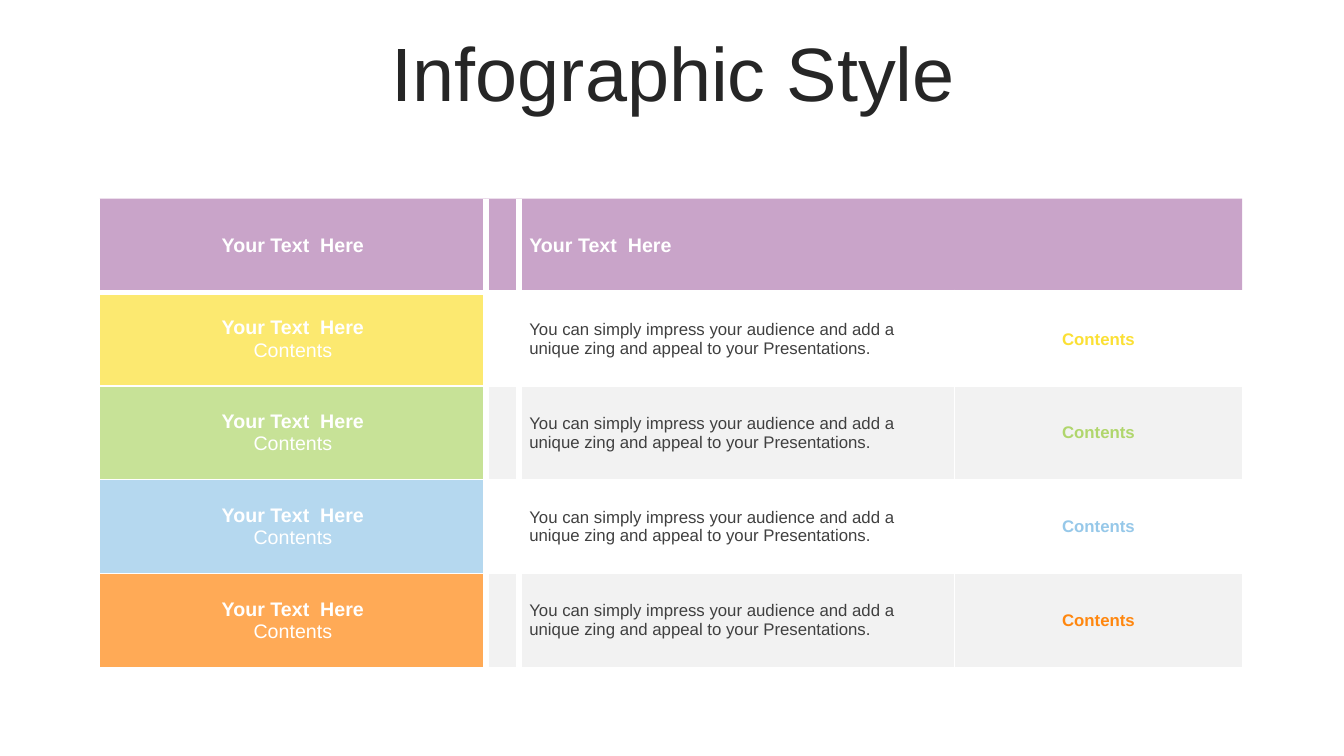
from lxml import etree
from pptx import Presentation, util as u
from pptx.dml.color import RGBColor
from pptx.enum import text
from pptx.oxml import ns

COLORS = {
    "title": "262626", "body": "404040", "white": "FFFFFF", "band": "F2F2F2",
    "purple": "B37EB3", "yellow": "FBE034", "green": "B0D66C",
    "blue": "96C8E9", "orange": "FF870F",
}
PLAIN_TABLE = "{2D5ABB26-0587-4C30-8999-92F81FD0307C}"
THIN, THICK = 1, 4.5
HEADING = "Your Text  Here"
CONTENTS = "Contents"
DESCRIPTION = ("You can simply impress your audience and add a unique zing "
               "and appeal to your Presentations.")
CENTER, LEFT = text.PP_ALIGN.CENTER, text.PP_ALIGN.LEFT
SIDE_BORDERS = [
    {"L": THIN, "R": THICK}, {"L": THICK}, {}, {"R": THIN}, {"L": THIN, "R": THIN},
]


class InfographicSlide:
    def __init__(self, slide, font="Arial"):
        self.slide = slide
        self.font = font

    def add_lines(self, frame, lines, align=CENTER, **paragraph_format):
        for index, (wording, size, color, bold) in enumerate(lines):
            paragraph = frame.paragraphs[0] if index == 0 else frame.add_paragraph()
            for name, value in {"alignment": align, **paragraph_format}.items():
                setattr(paragraph, name, value)
            run = paragraph.add_run()
            run.text = wording
            style = {"name": self.font, "size": u.Pt(size), "bold": bold}
            for name, value in style.items():
                setattr(run.font, name, value)
            run.font.color.rgb = RGBColor.from_string(COLORS[color])

    def title(self, wording, left, top, width, height):
        box = self.slide.shapes.add_textbox(*map(u.Inches, (left, top, width, height)))
        frame = box.text_frame
        frame.word_wrap = True
        frame.vertical_anchor = text.MSO_ANCHOR.MIDDLE
        self.add_lines(frame, [(wording, 54, "title", False)], line_spacing=0.9)

    def table(self, left, top, widths, row_height, row_count):
        frame = self.slide.shapes.add_table(
            row_count, len(widths), u.Inches(left), u.Inches(top),
            u.Inches(sum(widths)), u.Inches(row_height * row_count))
        table = frame.table
        table.first_row = table.horz_banding = False
        table._tbl.tblPr.find(ns.qn("a:tableStyleId")).text = PLAIN_TABLE
        for column, width in zip(table.columns, widths):
            column.width = u.Inches(width)
        for row in table.rows:
            row.height = u.Inches(row_height)
        return table

    def cell(self, cell, fill, borders, opacity=100):
        cell.vertical_anchor = text.MSO_ANCHOR.MIDDLE
        properties = cell._tc.get_or_add_tcPr()
        for side in "LRTB":
            if side in borders:
                line = etree.SubElement(properties, ns.qn(f"a:ln{side}"),
                                        w=str(u.Pt(borders[side])))
                solid = etree.SubElement(line, ns.qn("a:solidFill"))
                etree.SubElement(solid, ns.qn("a:srgbClr"), val=COLORS["white"])
        cell.fill.solid()
        cell.fill.fore_color.rgb = RGBColor.from_string(COLORS[fill])
        if opacity < 100:
            color = properties.find(f"{ns.qn('a:solidFill')}/{ns.qn('a:srgbClr')}")
            etree.SubElement(color, ns.qn("a:alpha"), val=str(opacity * 1000))

    def header_row(self, table):
        for column, sides in enumerate(SIDE_BORDERS):
            self.cell(table.cell(0, column), "purple", {**sides, "B": THICK}, 70)
        table.cell(0, 2).merge(table.cell(0, 4))
        heading = [(HEADING, 14, "white", True)]
        self.add_lines(table.cell(0, 0).text_frame, heading)
        self.add_lines(table.cell(0, 2).text_frame, heading, LEFT)

    def content_row(self, table, row, accent):
        band = "white" if row % 2 else "band"
        top = THICK if row == 1 else THIN
        for column, sides in enumerate(SIDE_BORDERS):
            fill, opacity = (accent, 70) if column == 0 else (band, 100)
            self.cell(table.cell(row, column), fill,
                      {**sides, "T": top, "B": THIN}, opacity)
        self.add_lines(table.cell(row, 0).text_frame,
                       [(HEADING, 14, "white", True), (CONTENTS, 14, "white", False)])
        self.add_lines(table.cell(row, 2).text_frame,
                       [(DESCRIPTION, 12, "body", False)], LEFT)
        self.add_lines(table.cell(row, 4).text_frame, [(CONTENTS, 12, accent, True)])


def main():
    deck = Presentation()
    deck.slide_width, deck.slide_height = u.Inches(13.33), u.Inches(7.5)
    infographic = InfographicSlide(deck.slides.add_slide(deck.slide_layouts[6]))
    infographic.title("Infographic Style", 0.35, 0.37, 12.66, 0.79)

    accents = ["yellow", "green", "blue", "orange"]
    overview = infographic.table(0.99, 1.97, [3.83, 0.33, 4.01, 0.31, 2.85],
                                 0.93, len(accents) + 1)
    infographic.header_row(overview)
    for row, accent in enumerate(accents, start=1):
        infographic.content_row(overview, row, accent)
    deck.save("out.pptx")


if __name__ == "__main__":
    main()
